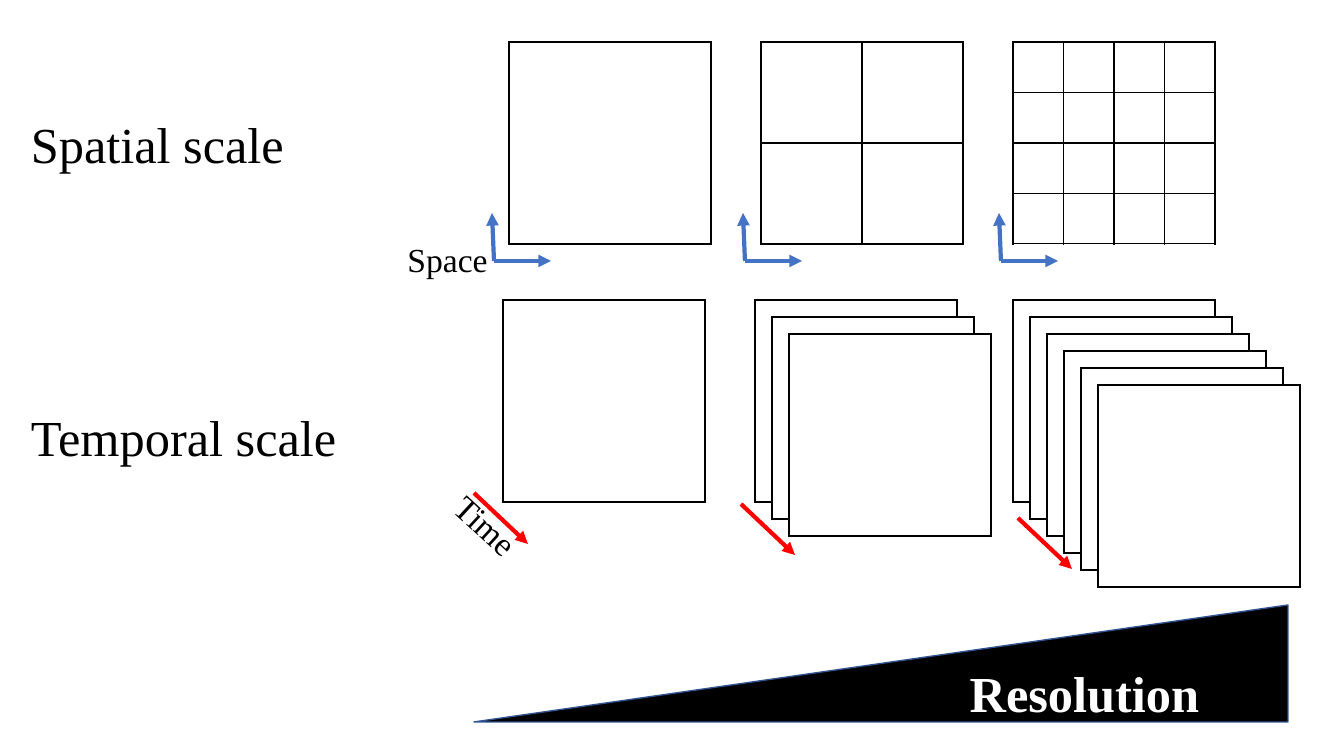
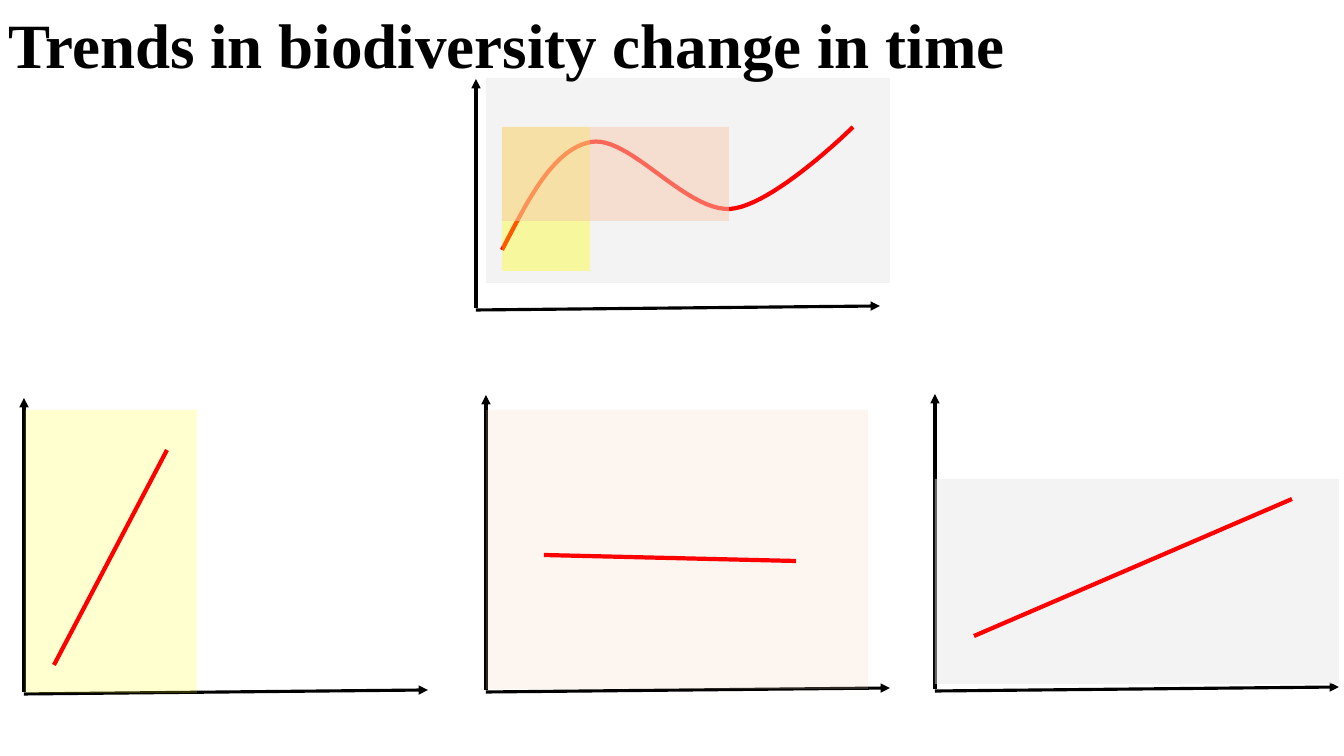
from lxml.etree import SubElement
from pptx import Presentation
from pptx.dml.color import RGBColor
from pptx.enum.shapes import MSO_CONNECTOR, MSO_SHAPE
from pptx.enum.text import MSO_ANCHOR, PP_ALIGN
from pptx.oxml.ns import qn
from pptx.util import Emu, Pt

# Shared look
FONT = "Times New Roman"
C = {"ink": "000000", "paper": "FFFFFF", "trend": "FF0000", "space": "4472C4",
     "edge": "325491", "short": "FFFF00", "medium": "F8CBAD", "long": "E7E6E6"}
W, H = 1344, 756
PX = 12192000 / W

# Slide 1: scales
SIDE, LAYER_STEP = 202, 17
LABELS = [  # text, box, format
    ("Spatial scale", (21, 108, 454, 72), dict(size=36)),
    ("Temporal scale", (21, 401, 454, 72), dict(size=36)),
    ("Space", (383, 234, 129, 52), dict(size=24, align=PP_ALIGN.CENTER)),
    ("Time", (421, 500, 129, 52), dict(size=24, align=PP_ALIGN.CENTER, rotation=42.8)),
]
SPATIAL = [  # grid left, cells per side, corner of the space arrows
    (509, 1, (494, 261)), (761, 2, (745, 261)), (1013, 4, (1001, 261))]
TEMPORAL = [  # stack left, layers, start of the time arrow
    (503, 1, (474, 493)), (755, 3, (741, 504)), (1013, 6, (1018, 518))]
SPATIAL_TOP, TEMPORAL_TOP = 42, 300
WEDGE = ("Resolution", (474, 605, 814, 117))

# Slide 2: trends
TITLE = ("Trends in biodiversity change in time", (-2, 0, W, 87))
AXIS_LEN = 404
OVERVIEW = {
    "origin": (476, 310), "height": 229,
    "back": ("long", 46, (486, 78, 404, 205)),
    "curve": [((502, 250), (528, 200), (553, 149), (591, 142)),
              ((591, 142), (629, 135), (685, 211), (730, 209)),
              ((730, 209), (773, 206), (853, 127), (853, 127))],
    "windows": [("short", 35, (502, 127, 88, 144)),
                ("medium", 51, (502, 127, 227, 94))],
}
DETAILS = [  # origin, axis height, window, trend line
    ((24, 694), 294, ("short", 19, (25, 410, 172, 283)), ((54, 665), (167, 450))),
    ((486, 692), 295, ("medium", 19, (486, 410, 382, 279)), ((544, 555), (796, 561))),
    ((935, 691), 295, ("long", 46, (935, 479, 404, 205)), ((974, 636), (1292, 499))),
]


def px(n):
    return Emu(round(n * PX))


def rgb(name):
    return RGBColor.from_string(C[name])


def write(tf, text, size=24, color="ink", bold=False, align=PP_ALIGN.LEFT,
          anchor=MSO_ANCHOR.TOP):
    tf.word_wrap = True
    tf.vertical_anchor = anchor
    p = tf.paragraphs[0]
    p.alignment = align
    r = p.add_run()
    r.text = text
    f = r.font
    f.name, f.size, f.bold = FONT, Pt(size), bold
    f.color.rgb = rgb(color)


def add_label(s, text, box, rotation=0, **fmt):
    sp = s.shapes.add_textbox(*map(px, box))
    sp.rotation = rotation
    write(sp.text_frame, text, **fmt)


def add_line(s, start, end, color, width, arrow=True):
    ln = s.shapes.add_connector(MSO_CONNECTOR.STRAIGHT, *map(px, (*start, *end)))
    ln.line.color.rgb = rgb(color)
    ln.line.width = Pt(width)
    if arrow:
        SubElement(ln.line._get_or_add_ln(), qn("a:tailEnd"), type="triangle")
    SubElement(ln._element.spPr, qn("a:effectLst"))


def add_shape(s, kind, box, color, alpha=100):
    sp = s.shapes.add_shape(kind, *map(px, box))
    sp.shadow.inherit = False
    sp.fill.solid()
    sp.fill.fore_color.rgb = rgb(color)
    if alpha < 100:
        clr = sp._element.spPr.find(qn("a:solidFill"))[0]
        SubElement(clr, qn("a:alpha"), val=str(alpha * 1000))
    sp.line.fill.background()
    return sp


def add_window(s, color, alpha, box):
    add_shape(s, MSO_SHAPE.RECTANGLE, box, color, alpha)


def add_grid(s, left, top, n, filled=False):
    t = s.shapes.add_table(n, n, *map(px, (left, top, SIDE, SIDE))).table
    t.first_row = t.horz_banding = False
    for col in t.columns:
        col.width = px(SIDE / n)
    for row in t.rows:
        row.height = px(SIDE / n)
    for cell in t.iter_cells():
        tcPr = cell._tc.get_or_add_tcPr()
        for side in ("lnL", "lnR", "lnT", "lnB"):
            ln = SubElement(tcPr, qn(f"a:{side}"), w=str(Pt(1)))
            fill = SubElement(ln, qn("a:solidFill"))
            SubElement(fill, qn("a:srgbClr"), val=C["ink"])
        if filled:
            cell.fill.solid()
            cell.fill.fore_color.rgb = rgb("paper")
        else:
            cell.fill.background()


def add_axes(s, origin, height):
    x, y = origin
    add_line(s, (x, y - 2), (x, y - 2 - height), "ink", 2.25)
    add_line(s, (x, y), (x + AXIS_LEN, y - 4), "ink", 2.25)


def bezier(ctrl, t):
    weights = ((1 - t) ** 3, 3 * t * (1 - t) ** 2, 3 * t * t * (1 - t), t ** 3)
    return tuple(px(sum(w * pt[i] for w, pt in zip(weights, ctrl))) for i in (0, 1))


def add_curve(s, segments, steps=24):
    pts = [bezier(seg, k / steps) for seg in segments for k in range(1, steps + 1)]
    fb = s.shapes.build_freeform(*map(px, segments[0][0]))
    fb.add_line_segments(pts, close=False)
    sp = fb.convert_to_shape()
    sp.shadow.inherit = False
    sp.fill.background()
    sp.line.color.rgb = rgb("trend")
    sp.line.width = Pt(3)


def build_scales(prs):
    s = prs.slides.add_slide(prs.slide_layouts[6])
    for text, box, fmt in LABELS:
        add_label(s, text, box, **fmt)
    for left, n, (x, y) in SPATIAL:
        add_grid(s, left, SPATIAL_TOP, n)
        add_line(s, (x, y), (x + 57, y), "space", 3)
        add_line(s, (x, y), (x - 2, y - 48), "space", 3)
    for left, layers, (x, y) in TEMPORAL:
        add_line(s, (x, y), (x + 54, y + 51), "trend", 3)
        for k in range(layers):
            d = k * LAYER_STEP
            add_grid(s, left + d, TEMPORAL_TOP + d, 1, filled=layers > 1)
    # Resolution wedge
    text, box = WEDGE
    sp = add_shape(s, MSO_SHAPE.ISOSCELES_TRIANGLE, box, "ink")
    sp.adjustments[0] = 1
    sp.line.color.rgb = rgb("edge")
    sp.line.width = Pt(1)
    write(sp.text_frame, text, size=36, color="paper", bold=True,
          align=PP_ALIGN.CENTER, anchor=MSO_ANCHOR.MIDDLE)


def build_trends(prs):
    s = prs.slides.add_slide(prs.slide_layouts[5])
    # Whole series with its time windows
    add_window(s, *OVERVIEW["back"])
    add_axes(s, OVERVIEW["origin"], OVERVIEW["height"])
    add_curve(s, OVERVIEW["curve"])
    for window in OVERVIEW["windows"]:
        add_window(s, *window)
    # Trend seen in each window
    for origin, height, window, (start, end) in DETAILS:
        add_axes(s, origin, height)
        add_window(s, *window)
        add_line(s, start, end, "trend", 3, arrow=False)
    # Title, in front of the charts
    text, box = TITLE
    title = s.shapes.title
    title.left, title.top, title.width, title.height = map(px, box)
    write(title.text_frame, text, size=45, bold=True)
    s.shapes.element.append(title.element)


def main():
    prs = Presentation()
    prs.slide_width, prs.slide_height = px(W), px(H)
    build_scales(prs)
    build_trends(prs)
    prs.save("out.pptx")


if __name__ == "__main__":
    main()
